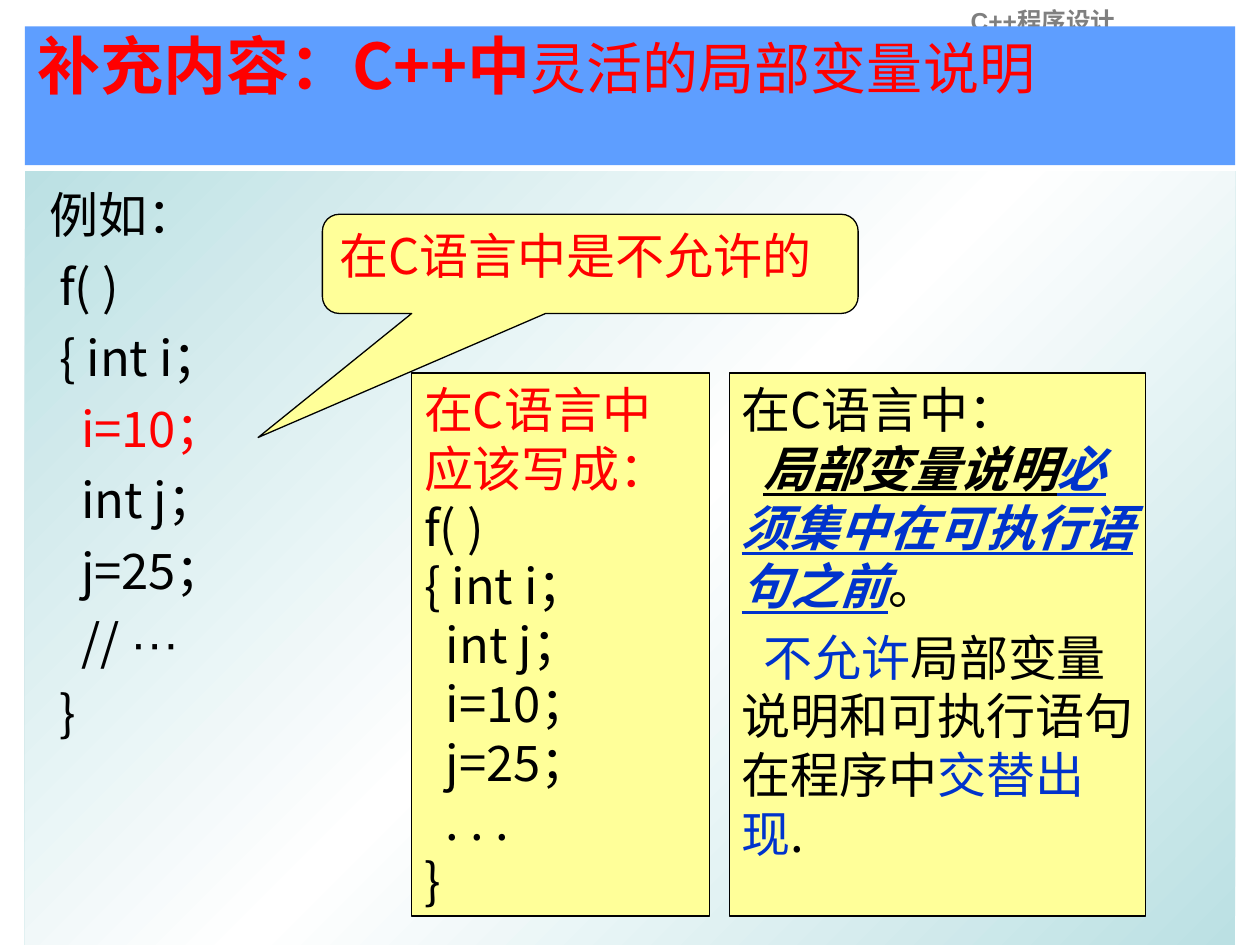
from lxml import etree
from pptx import Presentation
from pptx.dml.color import RGBColor
from pptx.enum.shapes import MSO_SHAPE as Shape
from pptx.enum.text import MSO_ANCHOR as Anchor, PP_ALIGN as Align
from pptx.oxml import parse_xml
from pptx.oxml.ns import nsdecls, qn
from pptx.util import Cm, Pt

COLORS = {"red": "FF0000", "black": "000000", "blue": "0033CC", "gray": "7F7F7F",
          "band": "5E9EFF", "note": "FFFF99", "teal": "BBE0E3", "white": "FFFFFF"}
FONT = "Noto Sans CJK SC"

# Content: each paragraph is a list of runs (text, colour, extra formatting)
STRONG = {"bold": True, "italic": True, "underline": True}
HEADER = [[("C++程序设计", "gray", {"size": 14, "bold": True, "name": "Arial"})]]
TITLE = [[("补充内容：C++中", "red", {"size": 36, "bold": True}),
          ("灵活的局部变量说明", "red", {"size": 32, "bold": False})]]
EXAMPLE = [
    [("例如：", "black")],
    [("  f( )", "black")],
    [("  { int i；", "black")],
    [("    ", "black"), ("i=10；", "red")],
    [("    int j；", "black")],
    [("    j=25；", "black")],
    [("    // ", "black"), ("···", "black", {"name": "Arial"})],
    [("  }", "black")],
]
CALLOUT = [[("在C语言中是不允许的", "red")]]
RULES = [
    [("在C语言中：", "black")],
    [("局部变量说明", "black", STRONG),
     ("必须集中在可执行语句之前", "blue", STRONG), ("。", "black")],
    [("不允许", "blue"), ("局部变量说明和可执行语句在程序中", "black"),
     ("交替出现", "blue"), (".", "black")],
]
C_LINES = ["f( )", "{ int i；", "  int j；", "  i=10；", "  j=25；", "  . . .", "}"]
C_VERSION = [[("在C语言中应该写成：", "red")]] + [[(line, "black")] for line in C_LINES]


def rgb(name):
    return RGBColor.from_string(COLORS[name])


def format_run(run, color, size=28, name=FONT, **flags):
    font = run.font
    font.size, font.name = Pt(size), name
    font.color.rgb = rgb(color)
    for flag, value in flags.items():
        setattr(font, flag, value)
    east_asian = etree.SubElement(run._r.get_or_add_rPr(), qn("a:ea"))
    east_asian.set("typeface", FONT)


def write(shape, paragraphs, align=Align.LEFT, anchor=Anchor.TOP, top=0.13):
    frame = shape.text_frame
    frame.word_wrap, frame.vertical_anchor = True, anchor
    frame.margin_left = frame.margin_right = Cm(0.25)
    frame.margin_top, frame.margin_bottom = Cm(top), Cm(0.13)
    for index, runs in enumerate(paragraphs):
        paragraph = frame.add_paragraph() if index else frame.paragraphs[0]
        paragraph.alignment = align
        paragraph.space_before = Pt(0)
        # Keep closing punctuation inside the box
        paragraph._p.get_or_add_pPr().set("hangingPunct", "0")
        for text, color, *extra in runs:
            run = paragraph.add_run()
            run.text = text
            format_run(run, color, **(extra[0] if extra else {}))
    return frame.paragraphs


def add_note(kind, left, top, width, height, paragraphs):
    shape = slide.shapes.add_shape(kind, Cm(left), Cm(top), Cm(width), Cm(height))
    shape.shadow.inherit = False
    shape.fill.solid()
    shape.fill.fore_color.rgb = rgb("note")
    shape.line.color.rgb = rgb("black")
    shape.line.width = Pt(0.75)
    return shape, write(shape, paragraphs)


presentation = Presentation()
presentation.slide_width, presentation.slide_height = Cm(25.4), Cm(19.05)
slide = presentation.slides.add_slide(presentation.slide_layouts[5])

# Title band
title = slide.shapes.title
title.left, title.top, title.width, title.height = Cm(0.5), Cm(0.53), Cm(24.4), Cm(2.8)
title.fill.solid()
title.fill.fore_color.rgb = rgb("band")
write(title, TITLE, top=0)

# Course name, partly covered by the title band
header = slide.shapes.add_textbox(Cm(17), 0, Cm(8.05), Cm(0.8))
write(header, HEADER, Align.CENTER)
title._element.addprevious(header._element)

# Example panel with a diagonal gradient
panel = slide.shapes.add_shape(Shape.RECTANGLE, Cm(0.5), Cm(3.45), Cm(24.4), Cm(15.6))
panel.shadow.inherit = False
panel.line.fill.background()
stops = "".join(f'<a:gs pos="{position}"><a:srgbClr val="{COLORS[name]}"/></a:gs>'
                for position, name in ((0, "teal"), (50000, "white"), (100000, "teal")))
panel._element.spPr.find(qn("a:prstGeom")).addnext(parse_xml(
    f'<a:gradFill {nsdecls("a")} rotWithShape="1"><a:gsLst>{stops}</a:gsLst>'
    '<a:lin ang="2700000" scaled="0"/></a:gradFill>'))
example_lines = write(panel, EXAMPLE, top=0.28)
example_lines[0]._p.get_or_add_pPr().set("marL", str(Cm(0.25)))
for paragraph in example_lines[1:]:
    paragraph.space_before = Pt(7)

# Callout pointing at the assignment
callout, _ = add_note(Shape.ROUNDED_RECTANGULAR_CALLOUT, 6.5, 4.32, 10.8, 2.0, CALLOUT)
for index, value in enumerate((-0.62, 1.75, 0.17)):
    callout.adjustments[index] = value

# Rules and the C version, side by side
_, rule_lines = add_note(Shape.RECTANGLE, 14.7, 7.52, 8.4, 10.95, RULES)
for paragraph in rule_lines[1:]:
    paragraph._p.get_or_add_pPr().set("indent", str(Cm(0.44)))
rule_lines[2].space_before = Pt(7)
add_note(Shape.RECTANGLE, 8.3, 7.52, 6.0, 10.95, C_VERSION)

presentation.save("out.pptx")
